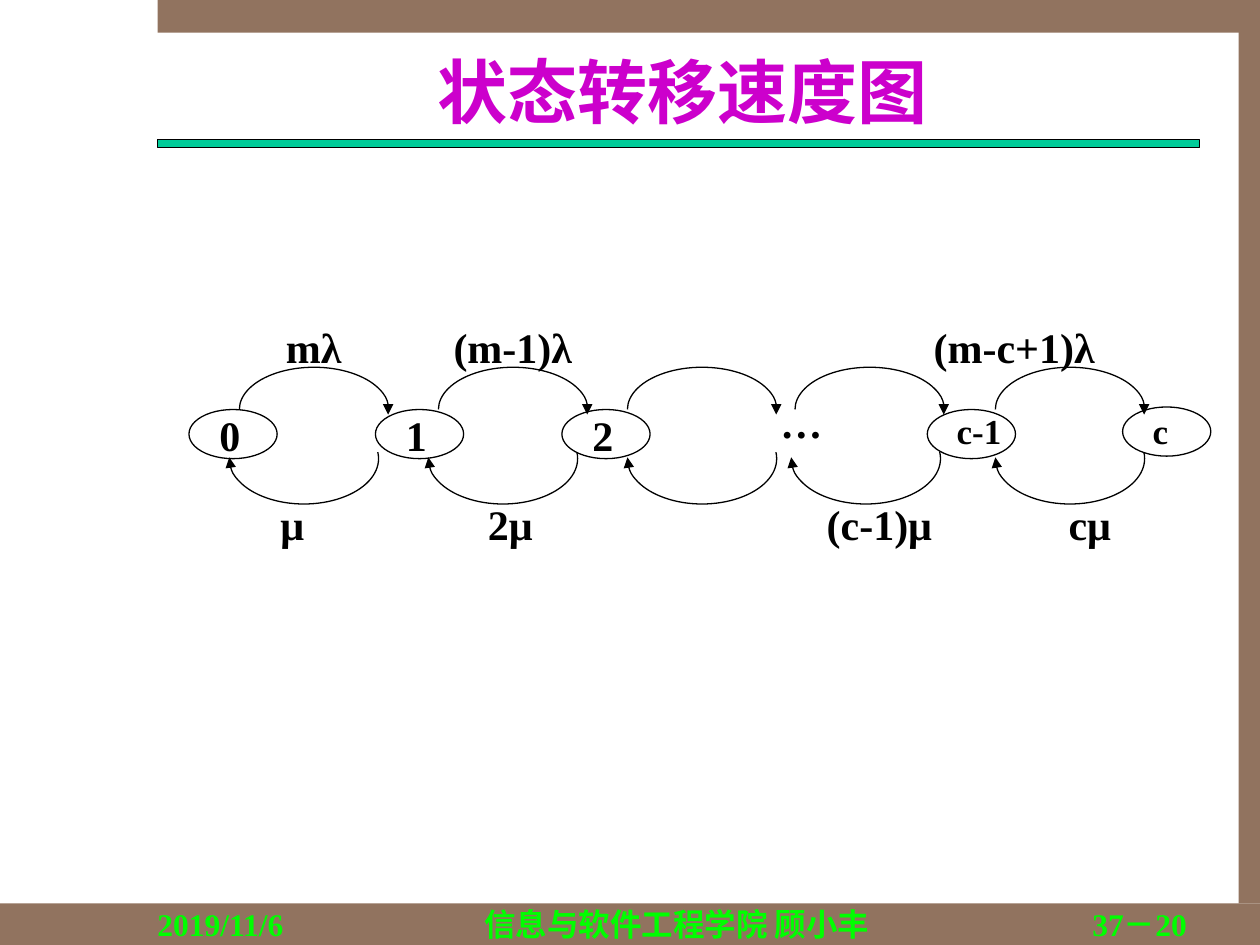
from pptx import Presentation
from pptx.dml.color import RGBColor
from pptx.enum.shapes import MSO_SHAPE
from pptx.enum.text import MSO_ANCHOR, MSO_AUTO_SIZE, PP_ALIGN
from pptx.oxml import parse_xml
from pptx.oxml.ns import nsdecls
from pptx.util import Inches, Pt

COLUMNS, ROWS = 100, 75


def color(value):
    """Turn a hex string into a colour."""
    return RGBColor.from_string(value)


class Painter:
    """Draw styled elements on one slide, measured in grid columns and rows."""

    font = "Times New Roman"
    ink = "000000"
    frame = "91735F"
    rule = "00CC99"
    heading = "CC00CC"
    footer = "00FF00"

    def __init__(self, presentation):
        """Add a blank slide and work out its grid."""
        self.slide = presentation.slides.add_slide(presentation.slide_layouts[6])
        self.column = presentation.slide_width / COLUMNS
        self.row = presentation.slide_height / ROWS

    def place(self, left, top, width, height):
        """Convert grid units to slide lengths."""
        return (int(left * self.column), int(top * self.row),
                int(width * self.column), int(height * self.row))

    def shape(self, kind, box, fill=None, line=None):
        """Add a preset shape with an optional fill and outline."""
        shape = self.slide.shapes.add_shape(kind, *self.place(*box))
        shape.shadow.inherit = False
        if fill:
            shape.fill.solid()
            shape.fill.fore_color.rgb = color(fill)
        else:
            shape.fill.background()
        if line:
            shape.line.color.rgb = color(line)
            shape.line.width = Pt(0.75)
        else:
            shape.line.fill.background()
        return shape

    def text(self, box, runs, size=24, fill=ink, align=PP_ALIGN.CENTER,
             anchor=MSO_ANCHOR.TOP, inset=0.0, wrap=True):
        """Add a text box holding one paragraph of bold runs."""
        shape = self.slide.shapes.add_textbox(*self.place(*box))
        frame = shape.text_frame
        frame.word_wrap = wrap
        frame.auto_size = MSO_AUTO_SIZE.SHAPE_TO_FIT_TEXT
        frame.vertical_anchor = anchor
        frame.margin_left = frame.margin_right = Inches(inset)
        frame.margin_top = frame.margin_bottom = Inches(inset / 2)
        paragraph = frame.paragraphs[0]
        paragraph.alignment = align
        for content in runs:
            run = paragraph.add_run()
            run.text = content
            run.font.name = self.font
            run.font.size = Pt(size)
            run.font.bold = True
            run.font.color.rgb = color(fill)

    def label(self, center, top, width, content, size=24):
        """Add a diagram label centred on a column."""
        self.text((center - width / 2, top, width, size / 5), [content],
                  size, inset=0.1, wrap=False)

    def state(self, left, top=32.5):
        """Add the ellipse of a state."""
        self.shape(MSO_SHAPE.OVAL, (left, top, 7, 3.9), line=self.ink)

    def transition(self, left, top, height, start, end):
        """Add a clockwise arc between two angles, with an arrow at its end."""
        arc = self.shape(MSO_SHAPE.ARC, (left, top, 11.85, height), line=self.ink)
        for index, degrees in enumerate((start, end)):
            arc.adjustments[index] = degrees * 0.6
        arc.line._get_or_add_ln().append(
            parse_xml(f'<a:tailEnd {nsdecls("a")} type="triangle"/>'))


def main():
    """Build the state transition slide."""
    presentation = Presentation()
    presentation.slide_width, presentation.slide_height = Inches(10), Inches(7.5)
    painter = Painter(presentation)

    for box in ((0, 71.7, 100, 3.3), (12.5, 0, 87.5, 2.6), (98.3, 2.5, 1.7, 69.2)):
        painter.shape(MSO_SHAPE.RECTANGLE, box, painter.frame)
    painter.shape(MSO_SHAPE.RECTANGLE, (12.5, 11.1, 82.7, 0.6), painter.rule, painter.ink)
    painter.text((13.3, 3.8, 81.7, 6.7), ["状态转移速度图"], 40,
                 painter.heading, anchor=MSO_ANCHOR.MIDDLE)

    for number in range(3):
        left = 15 + 14.8 * number
        painter.state(left)
        painter.label(left + 3.25, 32, 3.7, str(number))
    painter.state(73.6)
    painter.label(77.7, 32, 5.6, "c-1", 20)
    painter.label(63.6, 31, 5.4, "…")
    painter.state(89.1, 32.3)
    painter.label(92.1, 32, 3.2, "c", 20)

    for left in (19, 34.8, 49.8, 63.1, 79):
        painter.transition(left, 29.15, 6.7, 180, 4)
    for left in (18.2, 34, 49.8, 62.8, 79):
        painter.transition(left, 32.8, 7.2, 355, 181)

    for center, width, content in ((24.9, 6.6, "mλ"), (40.7, 11.6, "(m-1)λ"),
                                   (80.5, 15, "(m-c+1)λ")):
        painter.label(center, 25, width, content)
    for center, width, content in ((23.2, 3.9, "μ"), (40.5, 5.6, "2μ"),
                                   (69.8, 10.4, "(c-1)μ"), (86.5, 5.4, "cμ")):
        painter.label(center, 39.1, width, content)

    for left, width, align, runs in (
            (30.8, 45.8, PP_ALIGN.CENTER, ["信息与软件工程学院 ", "顾小丰"]),
            (12.5, 18.3, PP_ALIGN.LEFT, ["2019/11/6"]),
            (77.5, 16.7, PP_ALIGN.RIGHT, ["37－20"])):
        painter.text((left, 71.8, width, 3), runs, 18, painter.footer, align)

    presentation.save("out.pptx")


if __name__ == "__main__":
    main()
